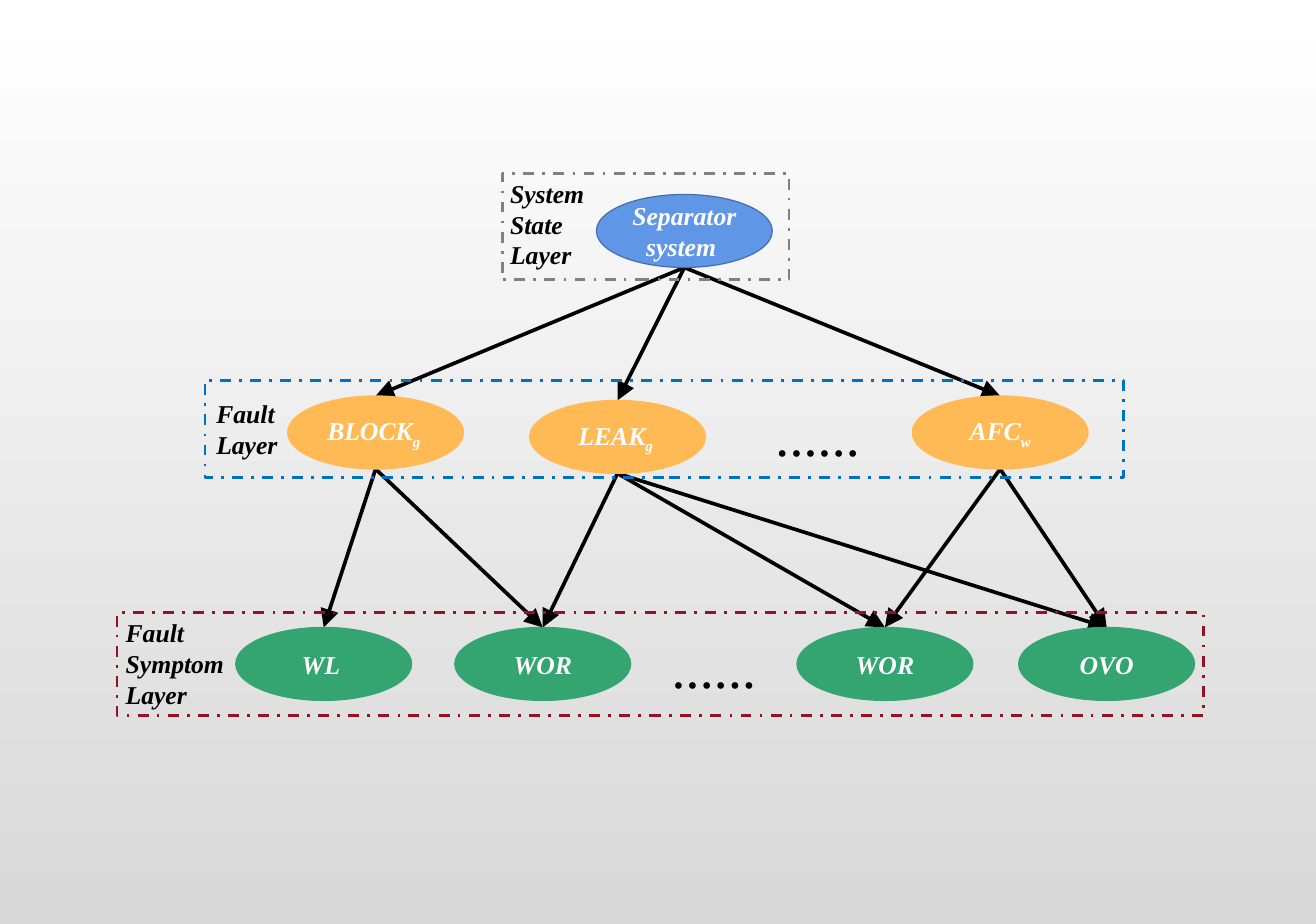
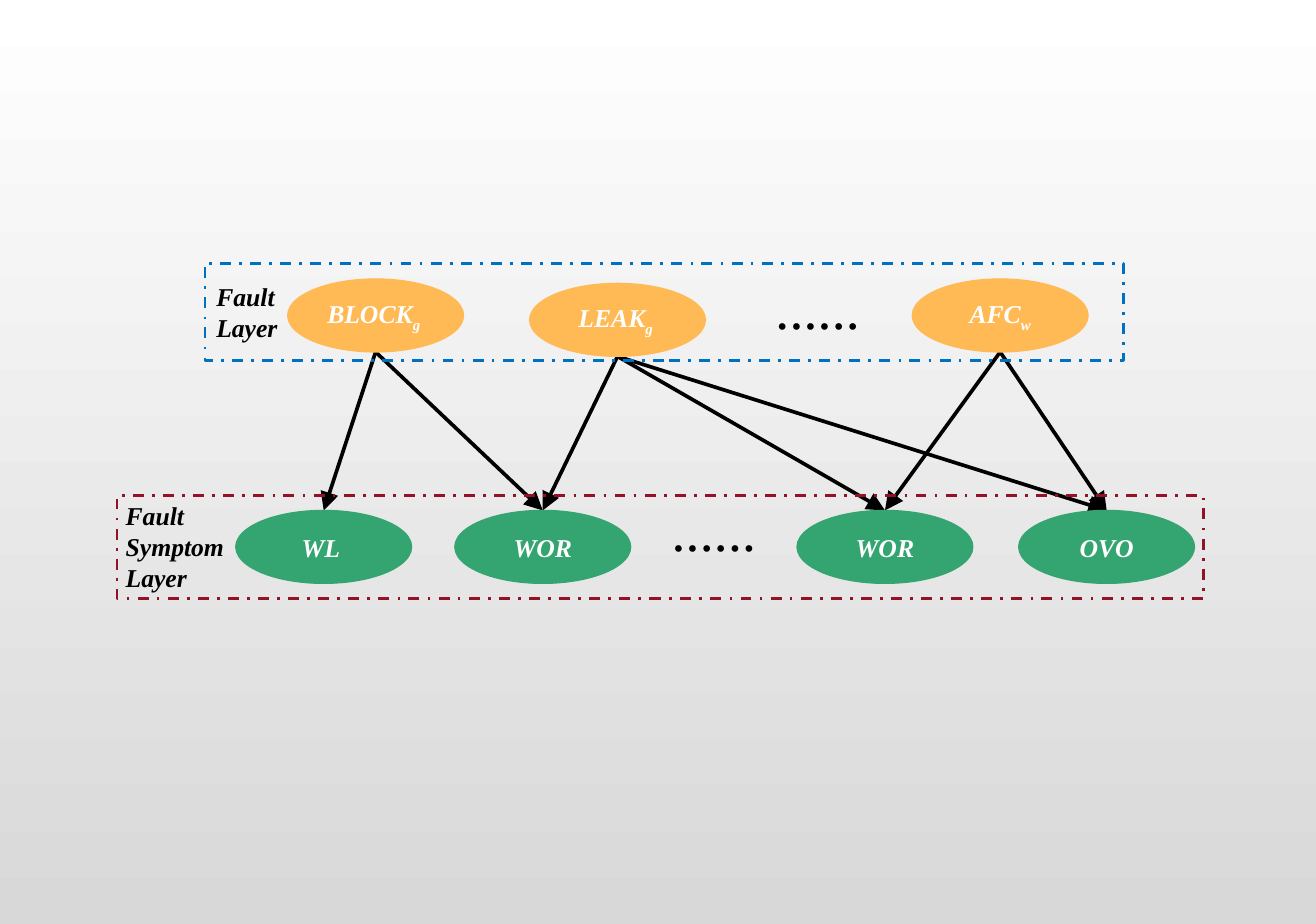
from dataclasses import dataclass

from lxml import etree
from pptx import Presentation
from pptx.dml.color import RGBColor
from pptx.enum.dml import MSO_LINE
from pptx.enum.shapes import MSO_CONNECTOR, MSO_SHAPE
from pptx.enum.text import MSO_ANCHOR, PP_ALIGN
from pptx.oxml.ns import qn
from pptx.util import Inches, Pt

STRAIGHT = MSO_CONNECTOR.STRAIGHT
OVAL, RECTANGLE = MSO_SHAPE.OVAL, MSO_SHAPE.RECTANGLE
DASH_DOT = MSO_LINE.DASH_DOT
CENTER, LEFT = PP_ALIGN.CENTER, PP_ALIGN.LEFT
MIDDLE = MSO_ANCHOR.MIDDLE

WHITE = RGBColor(0xFF, 0xFF, 0xFF)
BLACK = RGBColor(0x00, 0x00, 0x00)
BACKDROP_GREY = RGBColor(0xD8, 0xD8, 0xD8)
FRAME_GREY = RGBColor(0x80, 0x80, 0x80)
FRAME_BLUE = RGBColor(0x00, 0x70, 0xC0)
FRAME_RED = RGBColor(0x94, 0x12, 0x25)
SYSTEM_BLUE = RGBColor(0x60, 0x96, 0xE6)
SYSTEM_EDGE = RGBColor(0x47, 0x6F, 0xAA)
FAULT_ORANGE = RGBColor(0xFF, 0xBA, 0x55)
SYMPTOM_GREEN = RGBColor(0x34, 0xA4, 0x71)

FONT = "Times New Roman"
TEXT_SIZE, DOTS_SIZE = 21, 46.2
SLIDE_W, SLIDE_H = 14.96, 10.5
NODE_W, NODE_H = 2, 0.83
DOTS_W, DOTS_H = 2.58, 0.88


@dataclass
class Node:
    text: str
    left: float
    drop: float  # below the top of the layer's frame
    subscript: str = ""


@dataclass
class Layer:
    label: tuple
    label_box: tuple  # left, drop, width
    frame: tuple  # left, width, height
    frame_color: RGBColor
    fill: RGBColor
    edge: RGBColor
    nodes: tuple
    dots_left: float = 0


SYSTEM = Layer(
    ("System", "State", "Layer"), (5.7, 0, 1.08), (5.71, 3.26, 1.21),
    FRAME_GREY, SYSTEM_BLUE, SYSTEM_EDGE,
    (Node("Separator system ", 6.78, 0.24),))
FAULT = Layer(
    ("Fault", "Layer"), (2.36, 0.15, 0.91), (2.33, 10.44, 1.11),
    FRAME_BLUE, FAULT_ORANGE, FAULT_ORANGE,
    (Node("BLOCK", 3.27, 0.18, "g "), Node("LEAK", 6.02, 0.23, "g "),
     Node("AFC", 10.37, 0.18, "w")), 8.02)
SYMPTOM = Layer(
    ("Fault", "Symptom", "Layer"), (1.33, 0, 1.35), (1.33, 12.35, 1.17),
    FRAME_RED, SYMPTOM_GREEN, SYMPTOM_GREEN,
    (Node("WL ", 2.68, 0.17), Node("WOR", 5.17, 0.17),
     Node("WOR", 9.06, 0.17), Node("OVO", 11.58, 0.17)), 6.84)

# Pairs of node numbers: upper layer, lower layer
SYSTEM_TO_FAULT = ((0, 2), (0, 0), (0, 1))
FAULT_TO_SYMPTOM = ((2, 3), (2, 2), (1, 3), (1, 2), (1, 1), (0, 1), (0, 0))


def inches(*lengths):
    return [Inches(length) for length in lengths]


def style(paragraph, color, size=TEXT_SIZE, bold=True, align=CENTER):
    paragraph.alignment = align
    font = paragraph.font
    font.name, font.size, font.color.rgb = FONT, Pt(size), color
    font.bold, font.italic = bold, True


def set_backdrop(master):
    fill = master.background.fill
    fill.gradient()
    fill.gradient_angle = 270
    for stop, color, position in zip(fill.gradient_stops, (WHITE, BACKDROP_GREY), (0, 1)):
        stop.color.rgb, stop.position = color, position


def add_arrow(slide, start, end):
    arrow = slide.shapes.add_connector(STRAIGHT, *inches(*start, *end))
    arrow.line.color.rgb, arrow.line.width = BLACK, Pt(3)
    etree.SubElement(arrow.line._get_or_add_ln(), qn("a:tailEnd"),
                     type="triangle", w="lg", len="lg")
    etree.SubElement(arrow._element.spPr, qn("a:effectLst"))


def add_links(slide, upper, upper_top, lower, lower_top, pairs):
    """Arrows from the foot of upper nodes to the head of lower nodes."""
    for source, target in pairs:
        cause, effect = upper.nodes[source], lower.nodes[target]
        add_arrow(slide,
                  (cause.left + NODE_W / 2, upper_top + cause.drop + NODE_H),
                  (effect.left + NODE_W / 2, lower_top + effect.drop))


def add_node(slide, layer, node, top):
    ellipse = slide.shapes.add_shape(
        OVAL, *inches(node.left, top + node.drop, NODE_W, NODE_H))
    ellipse.shadow.inherit = False
    ellipse.fill.solid()
    ellipse.fill.fore_color.rgb = layer.fill
    ellipse.line.color.rgb, ellipse.line.width = layer.edge, Pt(1)
    ellipse.text_frame.vertical_anchor = MIDDLE
    paragraph = ellipse.text_frame.paragraphs[0]
    style(paragraph, WHITE)
    paragraph.add_run().text = node.text
    if node.subscript:
        subscript = paragraph.add_run()
        subscript.text = node.subscript
        subscript.font._element.set("baseline", "-25000")


def add_text(slide, box, lines, **look):
    frame = slide.shapes.add_textbox(*inches(*box)).text_frame
    frame.word_wrap = True
    frame.text = "\n".join(lines)
    for paragraph in frame.paragraphs:
        style(paragraph, BLACK, **look)


def add_frame(slide, layer, top):
    left, width, height = layer.frame
    frame = slide.shapes.add_shape(RECTANGLE, *inches(left, top, width, height))
    frame.shadow.inherit = False
    frame.fill.background()
    frame.line.color.rgb, frame.line.width = layer.frame_color, Pt(2.25)
    frame.line.dash_style = DASH_DOT


def add_layer(slide, layer, top, dots_drop=0):
    for node in layer.nodes:
        add_node(slide, layer, node, top)
    if layer.dots_left:
        add_text(slide, (layer.dots_left, top + dots_drop, DOTS_W, DOTS_H),
                 ["......"], size=DOTS_SIZE, bold=False)
    left, drop, width = layer.label_box
    add_text(slide, (left, top + drop, width, layer.frame[2] - 2 * drop),
             layer.label, align=LEFT)
    add_frame(slide, layer, top)


def add_fault_tree(slide, fault_top, fault_dots, symptom_dots, system_top=None):
    symptom_top = fault_top + 2.64
    # Arrows lie behind the nodes and frames
    add_links(slide, FAULT, fault_top, SYMPTOM, symptom_top, FAULT_TO_SYMPTOM)
    if system_top is not None:
        add_links(slide, SYSTEM, system_top, FAULT, fault_top, SYSTEM_TO_FAULT)
        add_layer(slide, SYSTEM, system_top)
    add_layer(slide, FAULT, fault_top, fault_dots)
    add_layer(slide, SYMPTOM, symptom_top, symptom_dots)


def main():
    deck = Presentation()
    deck.slide_width, deck.slide_height = inches(SLIDE_W, SLIDE_H)
    set_backdrop(deck.slide_master)
    blank = deck.slide_layouts[6]

    # Three layers, then the lower two alone
    add_fault_tree(deck.slides.add_slide(blank), 4.32, 0.18, 0.17, system_top=1.97)
    add_fault_tree(deck.slides.add_slide(blank), 2.99, 0.06, -0.05)
    deck.save("out.pptx")


if __name__ == "__main__":
    main()
